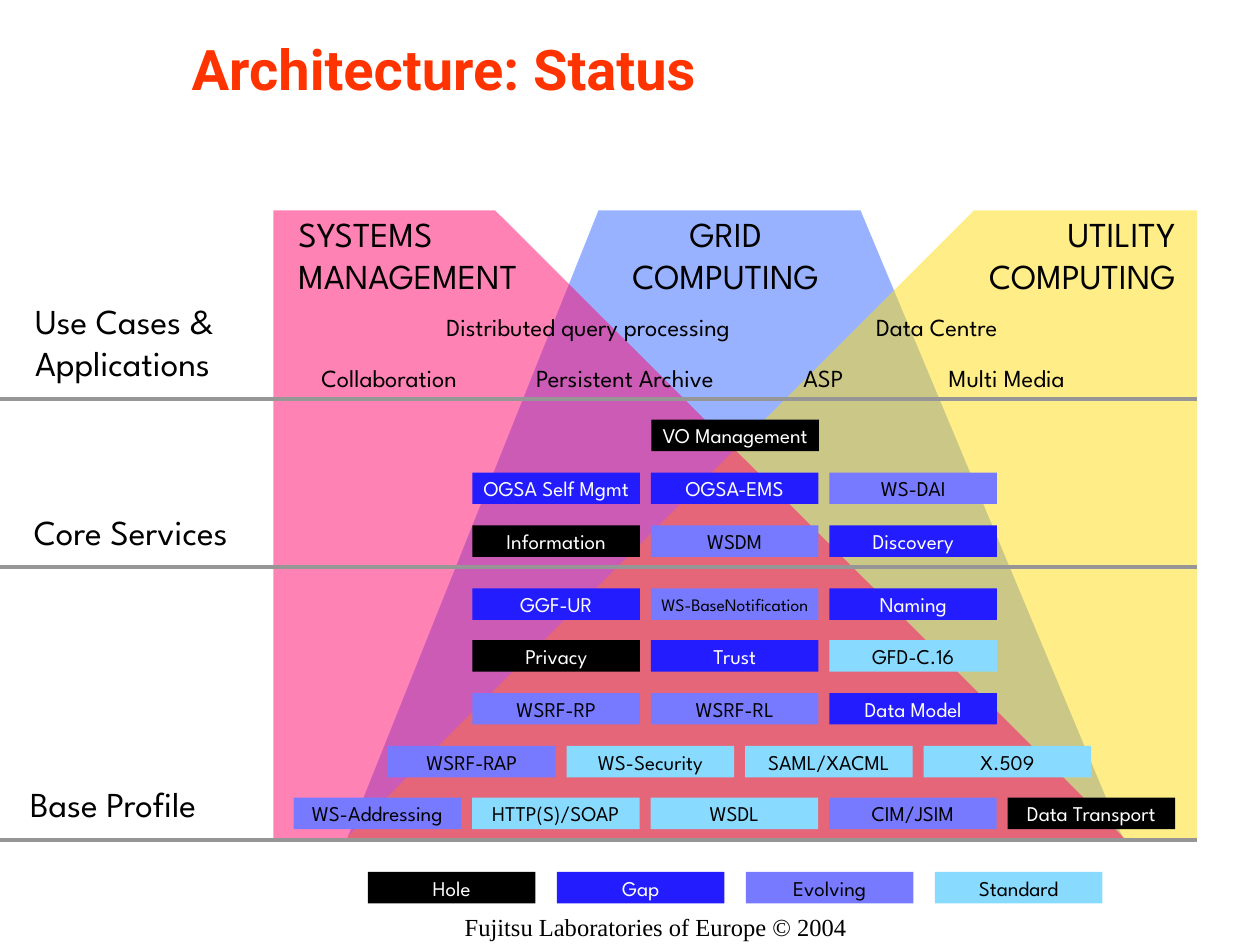
"""Build the architecture status slide: overlapping domains, service layers and a legend."""
from dataclasses import dataclass

import pptx
import pptx.dml.color
import pptx.enum.shapes
import pptx.enum.text
import pptx.oxml
import pptx.oxml.ns
import pptx.util
from pptx.util import Inches

ALIGN = pptx.enum.text.PP_ALIGN
ANCHOR = pptx.enum.text.MSO_ANCHOR
AUTO_SIZE = pptx.enum.text.MSO_AUTO_SIZE


@dataclass(frozen=True)
class Theme:
    """Colours, fonts and type sizes of the slide."""
    red: str = "FF3300"
    black: str = "000000"
    white: str = "FFFFFF"
    grey: str = "969696"
    blue: str = "3366FF"
    yellow: str = "FFDD11"
    pink: str = "FF066D"
    gap: str = "221CFF"
    evolving: str = "777AFF"
    standard: str = "88DBFF"
    body_font: str = "League Spartan"
    title_font: str = "Roboto"
    footer_font: str = "Times New Roman"
    title_size: int = 32
    heading_size: int = 20
    label_size: int = 14
    chip_size: int = 12
    small_size: int = 10


THEME = Theme()
STATUS = {
    "Hole": (THEME.black, THEME.white),
    "Gap": (THEME.gap, THEME.white),
    "Evolving": (THEME.evolving, THEME.black),
    "Standard": (THEME.standard, THEME.black),
}
DOMAINS = [
    (THEME.blue, [(2.75, 6.67), (4.75, 1.67), (6.83, 1.67), (8.92, 6.67)]),
    (THEME.yellow, [(9.5, 1.67), (7.73, 1.67), (2.75, 6.65), (9.5, 6.65)]),
    (THEME.pink, [(2.17, 1.67), (3.93, 1.67), (8.92, 6.65), (2.17, 6.65)]),
]
HEADINGS = [
    (["SYSTEMS", "MANAGEMENT"], 2.27, 1.64, 2.15, 0.77, ALIGN.LEFT),
    (["GRID", "COMPUTING"], 4.82, 1.64, 1.88, 0.77, ALIGN.CENTER),
    (["UTILITY", "COMPUTING"], 7.55, 1.64, 1.88, 0.77, ALIGN.RIGHT),
    (["Use Cases &", "Applications"], 0.18, 2.33, 1.8, 0.77, ALIGN.LEFT),
    (["Core Services"], 0.17, 4, 1.95, 0.44, ALIGN.LEFT),
    (["Base Profile"], 0.14, 6.16, 1.75, 0.44, ALIGN.LEFT),
]
USE_CASES = [
    ("Distributed query processing", 3.24, 2.42, 2.86),
    ("Data Centre", 6.79, 2.42, 1.29),
    ("Collaboration", 2.37, 2.83, 1.44),
    ("Persistent Archive", 4.04, 2.83, 1.84),
    ("ASP", 6.26, 2.83, 0.55),
    ("Multi Media", 7.35, 2.83, 1.28),
]
DIVIDERS = [3.17, 4.5, 6.67]
SERVICE_PITCH = 1.4167
LEGEND_PITCH = 1.5
SERVICE_ROWS = [
    (5.17, 3.33, [("VO Management", "Hole")]),
    (3.75, 3.75, [("OGSA Self Mgmt", "Gap"), ("OGSA-EMS", "Gap"), ("WS-DAI", "Evolving")]),
    (3.75, 4.17, [("Information", "Hole"), ("WSDM", "Evolving"), ("Discovery", "Gap")]),
    (3.75, 4.67, [("GGF-UR", "Gap"), ("WS-BaseNotification", "Evolving"), ("Naming", "Gap")]),
    (3.75, 5.08, [("Privacy", "Hole"), ("Trust", "Gap"), ("GFD-C.16", "Standard")]),
    (3.75, 5.5, [("WSRF-RP", "Evolving"), ("WSRF-RL", "Evolving"), ("Data Model", "Gap")]),
    (3.08, 5.92, [("WSRF-RAP", "Evolving"), ("WS-Security", "Standard"),
                  ("SAML/XACML", "Standard"), ("X.509", "Standard")]),
    (2.33, 6.33, [("WS-Addressing", "Evolving"), ("HTTP(S)/SOAP", "Standard"),
                  ("WSDL", "Standard"), ("CIM/JSIM", "Evolving"), ("Data Transport", "Hole")]),
]


def rgb(value):
    """Return a colour object for a hex string."""
    return pptx.dml.color.RGBColor.from_string(value)


def write(frame, lines, size, align, color=THEME.black, font=THEME.body_font):
    """Write one paragraph per line into a text frame."""
    for index, line in enumerate(lines):
        para = frame.paragraphs[0] if index == 0 else frame.add_paragraph()
        para.alignment = align
        span = para.add_run()
        span.text = line
        span.font.size = pptx.util.Pt(size)
        span.font.name = font
        span.font.color.rgb = rgb(color)


def add_title(page, text):
    """Place the title and give its lettering a hard black shadow."""
    title = page.shapes.title
    title.left, title.top = Inches(1.42), Inches(0)
    title.width, title.height = Inches(7.17), Inches(1.08)
    frame = title.text_frame
    frame.auto_size = AUTO_SIZE.NONE
    frame.vertical_anchor = ANCHOR.MIDDLE
    write(frame, [text], THEME.title_size, ALIGN.LEFT, THEME.red, THEME.title_font)
    font = frame.paragraphs[0].runs[0].font
    font.bold = True
    shadow = pptx.oxml.parse_xml(
        f'<a:effectLst {pptx.oxml.ns.nsdecls("a")}>'
        '<a:outerShdw dist="25400" dir="2700000" algn="ctr">'
        f'<a:srgbClr val="{THEME.black}"/></a:outerShdw></a:effectLst>')
    font.fill._xPr.find(pptx.oxml.ns.qn("a:solidFill")).addnext(shadow)


def add_domain(page, color, points):
    """Draw a half-transparent polygon."""
    corners = [(Inches(x), Inches(y)) for x, y in points]
    builder = page.shapes.build_freeform(*corners[0])
    builder.add_line_segments(corners[1:], close=True)
    domain = builder.convert_to_shape()
    domain.shadow.inherit = False
    domain.line.fill.background()
    domain.fill.solid()
    domain.fill.fore_color.rgb = rgb(color)
    paint = domain.fill._xPr.find(".//" + pptx.oxml.ns.qn("a:srgbClr"))
    paint.append(pptx.oxml.parse_xml(
        f'<a:alpha {pptx.oxml.ns.nsdecls("a")} val="50000"/>'))


def add_label(page, lines, left, top, width, height, size, align,
              anchor=ANCHOR.TOP, wrap=False, font=THEME.body_font):
    """Add a plain text box."""
    box = page.shapes.add_textbox(Inches(left), Inches(top), Inches(width), Inches(height))
    frame = box.text_frame
    frame.word_wrap = wrap
    frame.auto_size = AUTO_SIZE.SHAPE_TO_FIT_TEXT
    frame.vertical_anchor = anchor
    write(frame, lines, size, align, font=font)
    return box


def add_footer(page, text):
    """Add the copyright line at the foot."""
    box = add_label(page, [text], 2.08, 7.17, 6.25, 0.37, THEME.label_size,
                    ALIGN.CENTER, wrap=True, font=THEME.footer_font)
    frame = box.text_frame
    frame.margin_left = frame.margin_right = Inches(0.07)
    frame.margin_top = frame.margin_bottom = Inches(0.07)


def add_divider(page, top):
    """Draw a horizontal layer line."""
    line = page.shapes.add_connector(pptx.enum.shapes.MSO_CONNECTOR.STRAIGHT,
                                     Inches(0), Inches(top), Inches(9.5), Inches(top))
    line.line.color.rgb = rgb(THEME.grey)
    line.line.width = pptx.util.Pt(2.25)
    line._element.spPr.append(
        pptx.oxml.parse_xml(f'<a:effectLst {pptx.oxml.ns.nsdecls("a")}/>'))


def add_chip_row(page, left, top, chips, pitch):
    """Draw a row of status-coloured boxes at an equal pitch."""
    for index, (text, status) in enumerate(chips):
        fill, ink = STATUS[status]
        chip = page.shapes.add_shape(
            pptx.enum.shapes.MSO_SHAPE.RECTANGLE, Inches(left + index * pitch),
            Inches(top), Inches(1.33), Inches(0.25))
        chip.shadow.inherit = False
        chip.fill.solid()
        chip.fill.fore_color.rgb = rgb(fill)
        chip.line.fill.background()
        chip.text_frame.word_wrap = False
        chip.text_frame.vertical_anchor = ANCHOR.MIDDLE
        size = THEME.small_size if len(text) > 16 else THEME.chip_size
        write(chip.text_frame, [text], size, ALIGN.CENTER, ink)


def main():
    """Assemble and save the slide."""
    deck = pptx.Presentation()
    deck.slide_width, deck.slide_height = Inches(10), Inches(7.5)
    page = deck.slides.add_slide(deck.slide_layouts[5])
    add_title(page, "Architecture: Status")
    add_footer(page, "Fujitsu Laboratories of Europe © 2004")
    for color, points in DOMAINS:
        add_domain(page, color, points)
    for lines, left, top, width, height, align in HEADINGS:
        add_label(page, lines, left, top, width, height, THEME.heading_size, align)
    for top in DIVIDERS:
        add_divider(page, top)
    for text, left, top, width in USE_CASES:
        add_label(page, [text], left, top, width, 0.34, THEME.label_size,
                  ALIGN.CENTER, ANCHOR.MIDDLE)
    for left, top, chips in SERVICE_ROWS:
        add_chip_row(page, left, top, chips, SERVICE_PITCH)
    add_chip_row(page, 2.92, 6.92, [(name, name) for name in STATUS], LEGEND_PITCH)
    deck.save("out.pptx")


if __name__ == "__main__":
    main()
